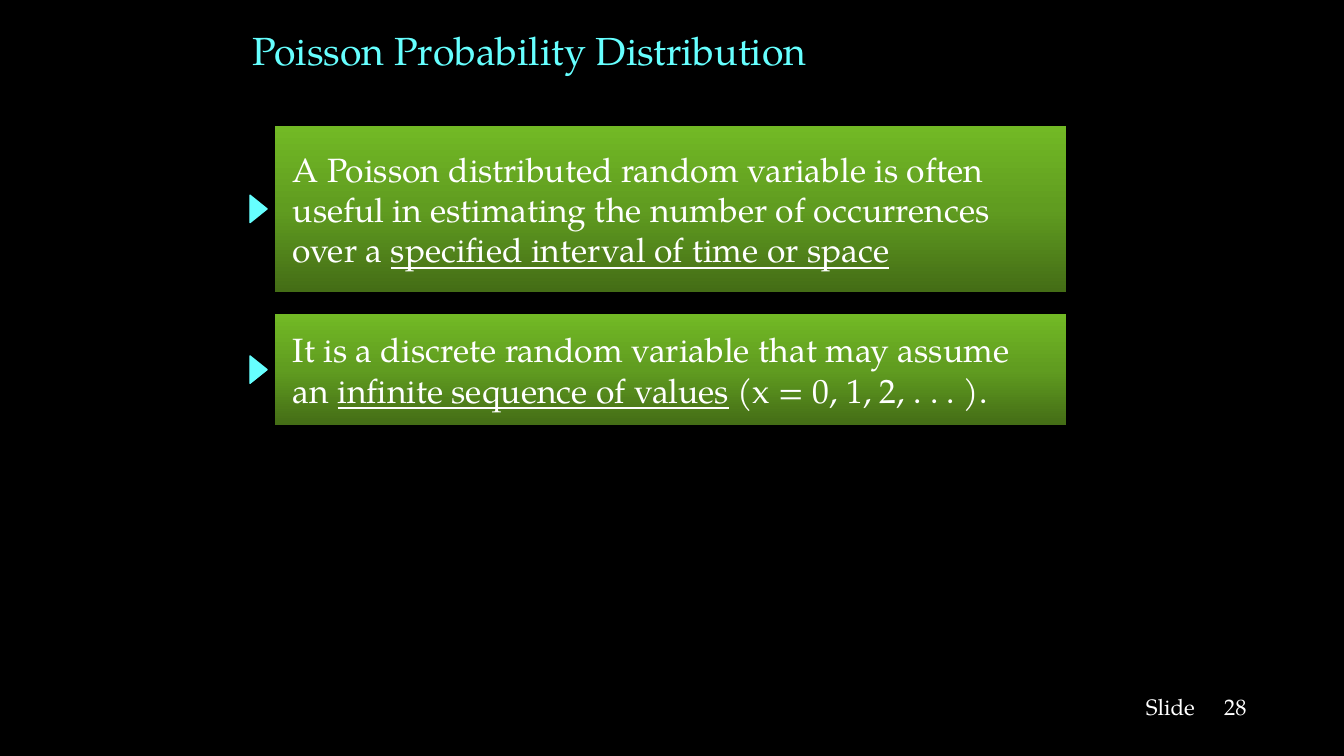
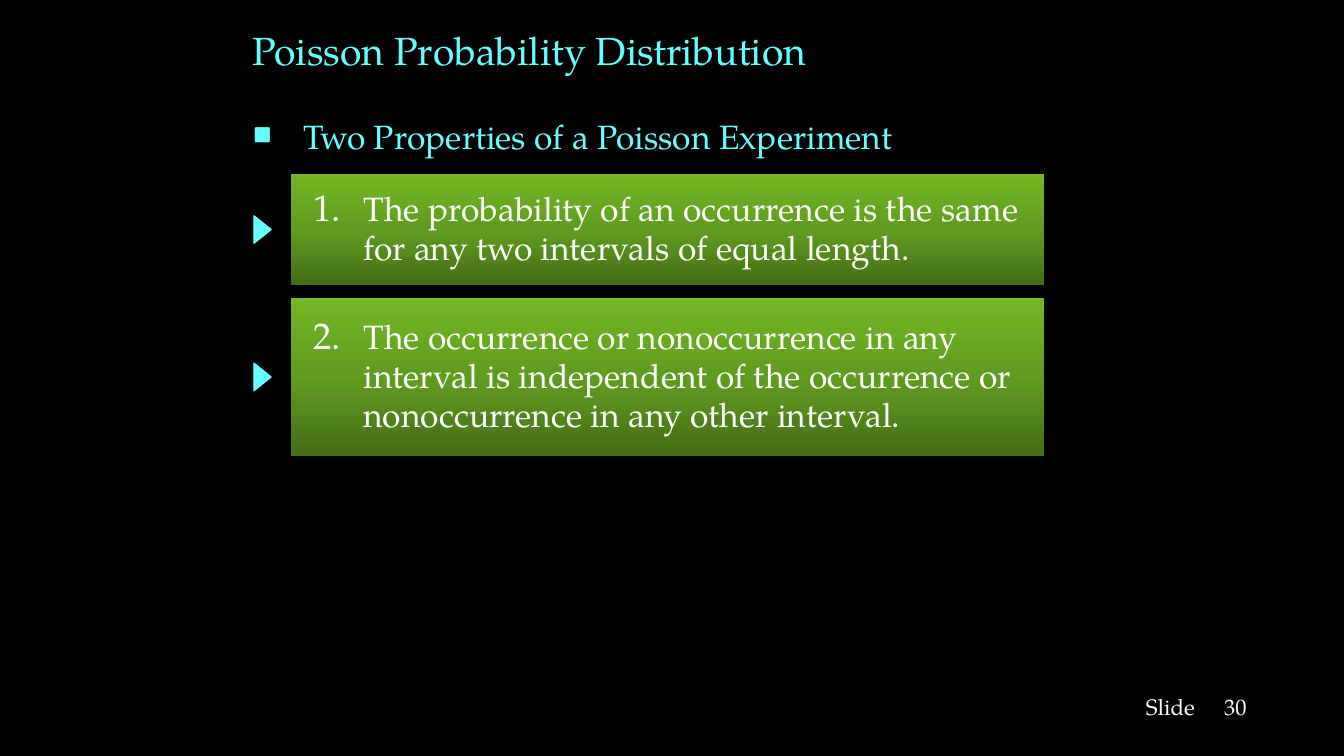
from copy import deepcopy
from dataclasses import dataclass

from lxml.etree import SubElement as Sub
from pptx import Presentation
from pptx.dml.color import RGBColor
from pptx.enum.shapes import MSO_SHAPE as Shape
from pptx.enum.text import MSO_ANCHOR as Anchor, MSO_AUTO_SIZE as Fit, PP_ALIGN as Align
from pptx.oxml.ns import qn
from pptx.util import Cm, Pt

FONT = "TeX Gyre Pagella"
BLACK, WHITE, CYAN = "000000", "FFFFFF", "66FFFF"
GREENS = ("446D16", "609C20", "72B925")  # bottom to top
TITLE = "Poisson Probability Distribution"
TITLE_ONLY, TITLE_BODY = 5, 1


@dataclass(frozen=True)
class Panel:
    top: float
    height: float
    text: str  # underscores enclose underlined words
    number: int = 0


@dataclass(frozen=True)
class Page:
    number: int
    left: float
    width: float
    arrow: float
    panels: tuple[Panel, ...]
    heading: str = ""


PAGES = (
    Page(28, 6.93, 19.94, 6.17, (
        Panel(3.18, 4.17, "A Poisson distributed random variable is often useful in "
              "estimating the number of occurrences over a "
              "_specified interval of time or space_"),
        Panel(7.92, 2.79, "It is a discrete random variable that may assume an "
              "_infinite sequence of values_ (x = 0, 1, 2, . . . )."),
    )),
    Page(30, 7.34, 18.97, 6.27, (
        Panel(4.39, 2.79, "The probability of an occurrence is the same "
              "for any two intervals of equal length.", 1),
        Panel(7.52, 3.96, "The occurrence or nonoccurrence in any interval is "
              "independent of the occurrence or nonoccurrence in any other interval.", 2),
    ), "Two Properties of a Poisson Experiment"),
)


def color(code: str) -> RGBColor:
    return RGBColor.from_string(code)


def style(para, size: float, code: str) -> None:
    para.alignment = Align.LEFT
    for run in para.runs:
        run.font.name = FONT
        run.font.size = Pt(size)
        run.font.color.rgb = color(code)


def place(shape, left: float, top: float, width: float, height: float) -> None:
    shape.left, shape.top = Cm(left), Cm(top)
    shape.width, shape.height = Cm(width), Cm(height)


def bullet(para, margin: float, code: str, size: int, kind: str, **attrs: str) -> None:
    """Give the paragraph a hanging bullet; size is a percentage of the text."""
    props = para._p.get_or_add_pPr()
    props.set("marL", str(Cm(margin)))
    props.set("indent", str(-Cm(1.27)))
    Sub(Sub(props, qn("a:buClr")), qn("a:srgbClr"), val=code)
    Sub(props, qn("a:buSzPct"), val=str(size * 1000))
    Sub(props, qn("a:buFont"), typeface=FONT)
    Sub(props, qn(kind), attrs)


def shade(shape) -> None:
    """Fill the shape with the three greens, darkest at the bottom."""
    fill = shape.fill
    fill.gradient()
    fill.gradient_angle = 90
    stops = shape._element.spPr.find(qn("a:gradFill")).find(qn("a:gsLst"))
    stops.insert(1, deepcopy(stops[0]))
    for i, (stop, code) in enumerate(zip(fill.gradient_stops, GREENS)):
        stop.position = i / 2
        stop.color.rgb = color(code)


def draw_panel(slide, page: Page, panel: Panel) -> None:
    box = slide.shapes.add_shape(Shape.RECTANGLE, Cm(page.left), Cm(panel.top),
                                 Cm(page.width), Cm(panel.height))
    box.shadow.inherit = False
    box.line.fill.background()
    shade(box)
    frame = box.text_frame
    frame.word_wrap = True
    frame.vertical_anchor = Anchor.MIDDLE
    frame.margin_left, frame.margin_right = Cm(0.45), Cm(0.5)
    para = frame.paragraphs[0]
    for i, part in enumerate(panel.text.split("_")):
        if part:
            run = para.add_run()
            run.text = part
            run.font.underline = i % 2 == 1
    style(para, 24, WHITE)
    if panel.number:
        para.line_spacing = 0.97
        bullet(para, 1.37, WHITE, 110, "a:buAutoNum",
               type="arabicPeriod", startAt=str(panel.number))


def draw_arrow(slide, page: Page, panel: Panel) -> None:
    """Point a triangle at the middle of the panel's left side."""
    width, height = 0.69, 0.43
    top = panel.top + (panel.height - height) / 2
    arrow = slide.shapes.add_shape(Shape.ISOSCELES_TRIANGLE, Cm(page.arrow), Cm(top),
                                   Cm(width), Cm(height))
    arrow.rotation = 90
    arrow.shadow.inherit = False
    arrow.fill.solid()
    arrow.fill.fore_color.rgb = color(CYAN)
    arrow.line.color.rgb = color(CYAN)
    arrow.line.width = Pt(1)


def draw_foot(slide, number: int) -> None:
    for left, text in ((28.63, "Slide"), (30.6, str(number))):
        box = slide.shapes.add_textbox(Cm(left), Cm(17.35), Cm(1.9), Cm(0.94))
        box.text_frame.word_wrap = True
        box.text_frame.text = text
        style(box.text_frame.paragraphs[0], 16, WHITE)


def draw_page(prs, page: Page) -> None:
    kind = TITLE_BODY if page.heading else TITLE_ONLY
    slide = prs.slides.add_slide(prs.slide_layouts[kind])
    title = slide.shapes.title
    place(title, 6.12, 0.25, 21.59, 2)
    title.text_frame.text = TITLE
    title.text_frame.auto_size = Fit.NONE
    style(title.text_frame.paragraphs[0], 28, CYAN)
    if page.heading:
        body = slide.placeholders[1]
        place(body, 6.12, 2.79, 21.59, 1.4)
        body.text_frame.text = page.heading
        body.text_frame.auto_size = Fit.NONE
        para = body.text_frame.paragraphs[0]
        style(para, 24, CYAN)
        bullet(para, 1.27, CYAN, 75, "a:buChar", char="■")
    for panel in page.panels:
        draw_panel(slide, page, panel)
        draw_arrow(slide, page, panel)
    draw_foot(slide, page.number)


def main() -> None:
    prs = Presentation()
    prs.slide_width, prs.slide_height = Cm(33.87), Cm(19.05)
    back = prs.slide_master.background.fill
    back.solid()
    back.fore_color.rgb = color(BLACK)
    for page in PAGES:
        draw_page(prs, page)
    prs.save("out.pptx")


if __name__ == "__main__":
    main()
